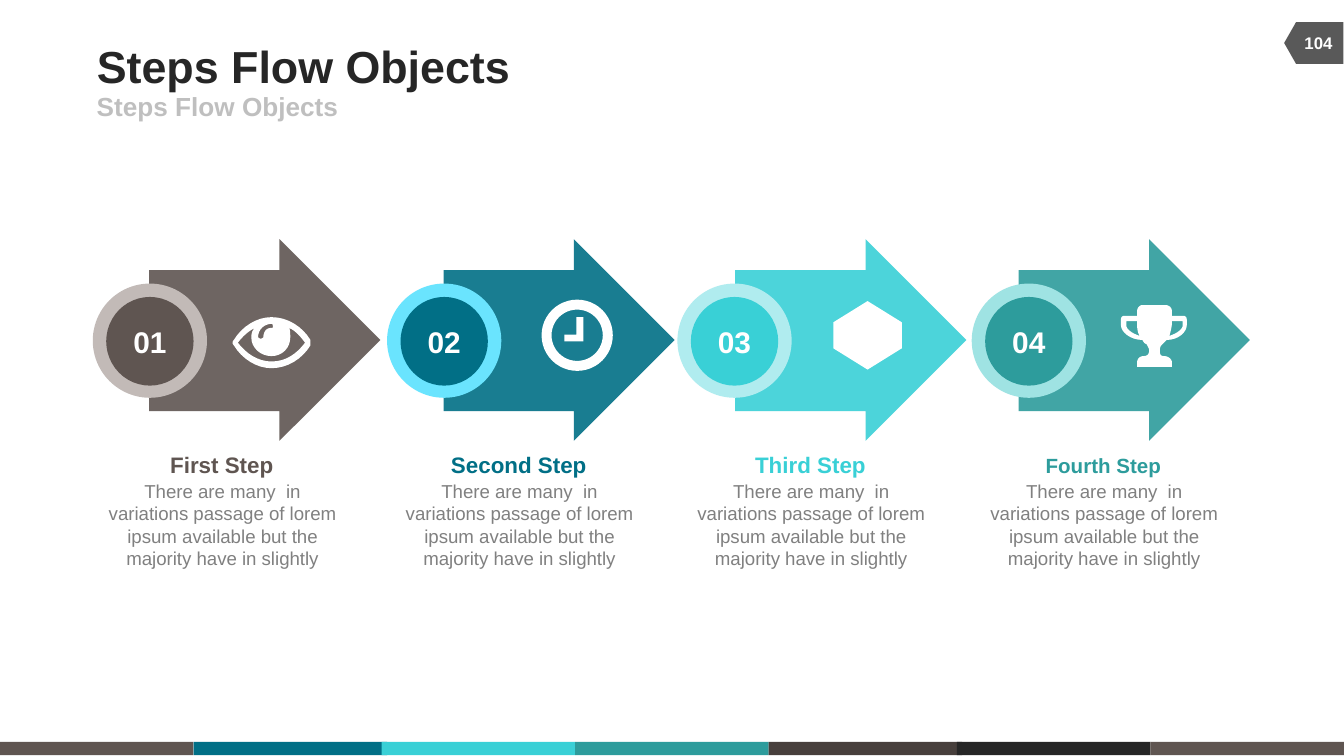
from lxml.etree import SubElement
from pptx import Presentation
from pptx.dml.color import RGBColor
from pptx.enum.shapes import MSO_SHAPE as SHAPE
from pptx.enum.text import MSO_ANCHOR as ANCHOR, PP_ALIGN as ALIGN
from pptx.oxml.ns import qn
from pptx.util import Inches, Pt

COLORS = {
    "white": "FFFFFF", "dark": "262626", "light": "BFBFBF",
    "text": "808080", "tag": "595959", "coffee": "473F3C",
    "brown": "5F5551", "brown_ring": "C2BAB7",
    "blue": "016F86", "blue_ring": "6AE4FE",
    "cyan": "39D0D6", "cyan_ring": "B0ECEF",
    "teal": "2D9C9C", "teal_ring": "9FE3E3",
}
BODY = ("There are many  in variations passage of lorem ipsum "
        "available but the majority have in slightly")

EYE = [
    [(58, 21), (52, 31, 41, 38, 29, 38), (18, 38, 7, 31, 1, 21),
     (1, 21, 0, 20, 0, 19), (0, 18, 1, 17, 1, 17), (7, 7, 18, 0, 29, 0),
     (41, 0, 52, 7, 58, 17)],
    [(42, 8), (43, 9, 43, 12, 43, 15), (43, 23, 37, 29, 29, 29),
     (21, 29, 14, 23, 14, 15), (14, 12, 15, 9, 17, 8), (12, 10, 7, 15, 4, 19),
     (10, 27, 19, 33, 29, 33), (40, 33, 48, 27, 54, 19), (51, 15, 47, 10, 42, 8)],
    [(29, 5), (24, 5, 19, 9, 19, 15), (19, 15, 20, 16, 21, 16),
     (22, 16, 23, 15, 23, 15), (23, 11, 25, 8, 29, 8), (30, 8, 30, 8, 30, 7),
     (30, 6, 30, 5, 29, 5)],
]
CLOCK_HANDS = [[(26, 13), (31, 13), (31, 31), (17, 31), (17, 26), (26, 26)]]
TROPHY = [
    [(49, 15), (49, 20, 43, 26, 34, 26), (32, 28, 31, 29, 31, 29),
     (29, 31, 29, 32, 29, 34), (29, 36, 29, 38, 32, 38), (35, 38, 38, 40, 38, 43),
     (38, 46), (12, 46), (12, 43), (12, 40, 14, 38, 17, 38),
     (20, 38, 21, 36, 21, 34), (21, 32, 20, 31, 19, 29), (18, 29, 17, 28, 16, 26),
     (7, 26, 0, 20, 0, 15), (0, 11), (0, 9, 1, 8, 3, 8), (12, 8), (12, 5),
     (12, 2, 14, 0, 16, 0), (33, 0), (36, 0, 38, 2, 38, 5), (38, 8), (46, 8),
     (48, 8, 49, 9, 49, 11)],
    [(12, 12), (4, 12), (4, 15), (4, 18, 8, 21, 14, 23), (12, 20, 12, 16, 12, 12)],
    [(46, 12), (38, 12), (38, 16, 37, 20, 36, 23), (42, 21, 46, 18, 46, 15)],
]
ARROW = [[(0, 23), (97, 23), (97, 0), (172, 75), (97, 150), (97, 128), (0, 128)]]


def rgb(name):
    return RGBColor.from_string(COLORS[name])


def paint(sp, color):
    sp.shadow.inherit = False
    sp.fill.solid()
    sp.fill.fore_color.rgb = rgb(color)
    sp.line.fill.background()
    return sp


def add_preset(s, kind, x, y, w, h, color):
    box = [Inches(v) for v in (x, y, w, h)]
    return paint(s.shapes.add_shape(kind, *box), color)


def flatten(contour, steps=8):
    points = [contour[0]]
    for seg in contour[1:]:
        if len(seg) == 2:
            points.append(seg)
            continue
        a, b, c, d = points[-1], seg[:2], seg[2:4], seg[4:]
        for i in range(1, steps + 1):
            t = i / steps
            u = 1 - t
            points.append(tuple(
                u**3 * a[k] + 3 * u * u * t * b[k] + 3 * u * t * t * c[k] + t**3 * d[k]
                for k in (0, 1)))
    return points


def add_outline(s, x, y, contours, color):
    paths = [[(Inches(x + px / 100), Inches(y + py / 100)) for px, py in flatten(c)]
             for c in contours]
    builder = s.shapes.build_freeform(*paths[0][0])
    for i, path in enumerate(paths):
        if i:
            builder.move_to(*path[0])
        builder.add_line_segments(path[1:], close=True)
    return paint(builder.convert_to_shape(), color)


def write(sp, text, size, color, bold=True, align=ALIGN.CENTER,
          anchor=ANCHOR.MIDDLE, wrap=False):
    tf = sp.text_frame
    tf.margin_left = tf.margin_right = tf.margin_top = tf.margin_bottom = 0
    tf.word_wrap = wrap
    tf.vertical_anchor = anchor
    p = tf.paragraphs[0]
    p.alignment = align
    p.space_before = Pt(0)
    r = p.add_run()
    r.text = text
    r.font.name = "Arial"
    r.font.size = Pt(size)
    r.font.bold = bold
    r.font.color.rgb = rgb(color)


def add_text(s, x, y, w, h, *args, **kwargs):
    write(s.shapes.add_textbox(*[Inches(v) for v in (x, y, w, h)]), *args, **kwargs)


def draw_eye(s, x, y):
    add_outline(s, x + 0.62, y + 0.58, EYE, "white")


def draw_clock(s, x, y):
    ring = add_preset(s, SHAPE.DONUT, x + 0.73, y + 0.45, 0.53, 0.53, "white")
    ring.adjustments[0] = 0.14
    add_outline(s, x + 0.73, y + 0.45, CLOCK_HANDS, "white")


def draw_hexagon(s, x, y):
    sp = add_preset(s, SHAPE.HEXAGON, x + 0.73, y + 0.46, 0.51, 0.51, "white")
    sp.adjustments[0] = 0.31
    sp.rotation = 90


def draw_trophy(s, x, y):
    add_outline(s, x + 0.76, y + 0.49, TROPHY, "white")


def draw_header(s, x, y, w):
    title = s.shapes.title
    title.left, title.top = Inches(x), Inches(y)
    title.width, title.height = Inches(w), Inches(0.39)
    write(title, "Steps Flow Objects", 24, "dark", align=ALIGN.LEFT, wrap=True)
    add_text(s, x, y + 0.39, 4.5, 0.22, "Steps Flow Objects", 14, "light",
             align=ALIGN.LEFT, wrap=True)


def draw_page_tag(s, x, y):
    tag = add_preset(s, SHAPE.FLOWCHART_OFFPAGE_CONNECTOR, x + 0.02, y, 0.31, 0.44, "tag")
    tag.rotation = 90
    add_text(s, x, y + 0.07, 0.42, 0.3, "104", 9, "white")


def draw_footer(s, y, h):
    names = ["brown", "blue", "cyan", "teal", "coffee", "dark", "brown"]
    lefts = [0, 1.44, 2.84, 4.28, 5.72, 7.12, 8.56]
    for x, color in zip(lefts, names):
        add_preset(s, SHAPE.RECTANGLE, x, y, 1.44, h, color)


def draw_step(s, x, y, arrow_x, center, number, label, size, color, draw_icon):
    arrow = add_outline(s, arrow_x, y, ARROW, color)
    fill = arrow.fill._xPr.find(qn("a:solidFill"))
    SubElement(fill[0], qn("a:alpha"), val="90000")
    add_preset(s, SHAPE.OVAL, x, y + 0.33, 0.85, 0.85, color + "_ring")
    disc = add_preset(s, SHAPE.OVAL, x + 0.1, y + 0.43, 0.65, 0.66, color)
    write(disc, number, 16, "white")
    draw_icon(s, arrow_x, y)
    add_text(s, center - 0.51, y + 1.58, 1.02, 0.2, label, size, color)
    add_text(s, center - 0.88, y + 1.79, 1.77, 0.67, BODY, 10, "text",
             bold=False, anchor=ANCHOR.TOP, wrap=True)


def main():
    prs = Presentation()
    prs.slide_width = Inches(10)
    prs.slide_height = prs.slide_width * 9 // 16
    s = prs.slides.add_slide(prs.slide_layouts[5])
    draw_footer(s, 5.52, 0.1)
    draw_page_tag(s, 9.6, 0.1)
    draw_header(s, 0.72, 0.29, 6.17)
    steps = [
        (0.69, 1.11, 1.65, "First Step", 12, "brown", draw_eye),
        (2.88, 3.3, 3.86, "Second Step", 12, "blue", draw_clock),
        (5.04, 5.47, 6.03, "Third Step", 12, "cyan", draw_hexagon),
        (7.23, 7.58, 8.21, "Fourth Step", 11, "teal", draw_trophy),
    ]
    for i, (x, arrow_x, center, *rest) in enumerate(steps, 1):
        draw_step(s, x, 1.78, arrow_x, center, f"{i:02d}", *rest)
    prs.save("out.pptx")


if __name__ == "__main__":
    main()
